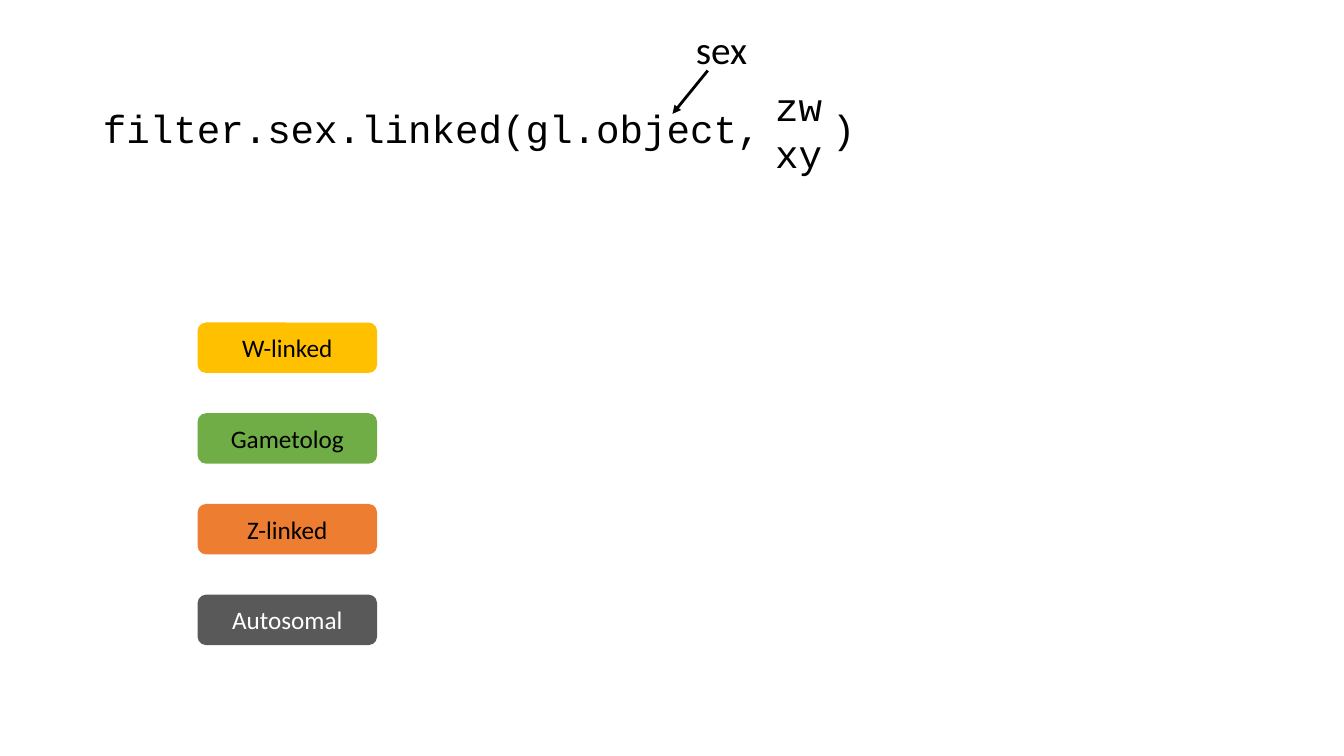
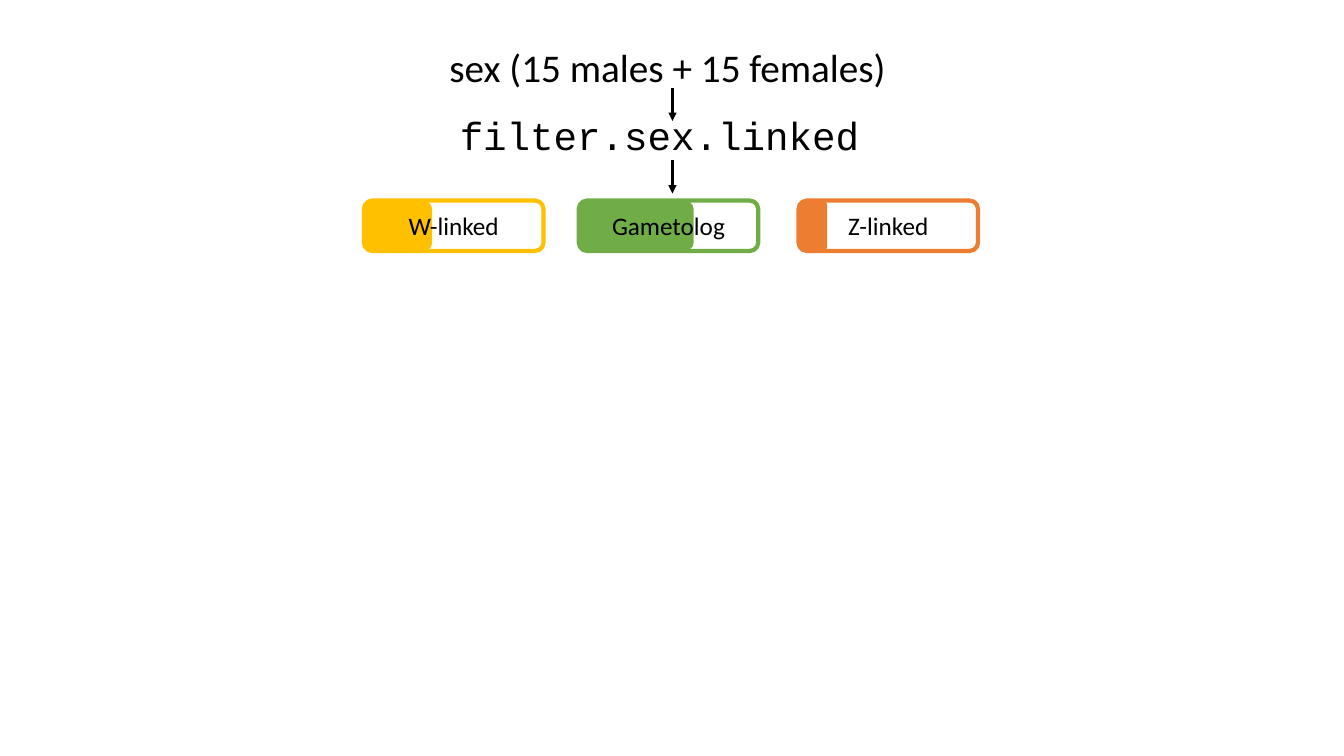
from lxml import etree
from pptx import Presentation
from pptx.dml.color import RGBColor
from pptx.enum.shapes import MSO_CONNECTOR as CONN, MSO_SHAPE as SHAPE
from pptx.enum.text import MSO_ANCHOR as ANCHOR, MSO_AUTO_SIZE as FIT, PP_ALIGN as ALIGN
from pptx.oxml.ns import qn
from pptx.util import Inches, Pt

BLACK, WHITE = "000000", "FFFFFF"
YELLOW, GREEN, ORANGE, GREY = "FFC000", "70AD47", "ED7D31", "595959"
CODE, SANS = "Courier New", "Calibri"
PILL_W, PILL_H = 1.78, 0.5
PILL_TOP, PILL_STEP = 3.2, 0.9


def rgb(color):
    return RGBColor.from_string(color)


def style(p, font, size, color, align):
    p.alignment = align
    p.font.name, p.font.size, p.font.color.rgb = font, Pt(size), rgb(color)


# Slide contents: title (text, box), labels, arrows, and pills
# (name, left, top, colour, text colour, filled share of the width)
types = [("W-linked", YELLOW, BLACK), ("Gametolog", GREEN, BLACK),
         ("Z-linked", ORANGE, BLACK), ("Autosomal", GREY, WHITE)]
slides = [
    {"title": ("filter.sex.linked(gl.object,\t)", (0.92, 1.04, 11.5, 0.5)),
     "labels": [("zw\nxy", (7.59, 0.77, 0.75, 1.04), CODE, ALIGN.LEFT),
                ("sex", (6.7, 0.2, 0.91, 0.57), SANS, ALIGN.CENTER)],
     "arrows": [(7.02, 0.7, 6.67, 1.13)],
     "pills": [(name, 1.96, PILL_TOP + i * PILL_STEP, color, ink, 1)
               for i, (name, color, ink) in enumerate(types)]},
    {"title": ("filter.sex.linked", (4.46, 1.11, 4.41, 0.5)),
     "labels": [("sex (15 males + 15 females)", (4.14, 0.38, 4.96, 0.57), SANS, ALIGN.CENTER)],
     "arrows": [(6.67, 0.87, 6.67, 1.2), (6.67, 1.59, 6.67, 1.92)],
     "pills": [(name, left, 1.99, color, ink, share)
               for (name, color, ink), left, share
               in zip(types, (3.61, 5.74, 7.92), (0.38, 0.64, 0.16))]},
]

prs = Presentation()
prs.slide_width, prs.slide_height = Inches(13.33), Inches(7.5)

for content in slides:
    s = prs.slides.add_slide(prs.slide_layouts[5])

    # Function call as the title
    text, box = content["title"]
    title = s.shapes.title
    title.left, title.top, title.width, title.height = map(Inches, box)
    tf = title.text_frame
    tf.text = text
    tf.word_wrap, tf.auto_size, tf.vertical_anchor = True, FIT.NONE, ANCHOR.TOP
    p = tf.paragraphs[0]
    p.line_spacing = 0.9
    if "\t" in text:
        tabs = etree.SubElement(p._p.get_or_add_pPr(), qn("a:tabLst"))
        etree.SubElement(tabs, qn("a:tab"), pos=str(Inches(7.23)), algn="l")
    style(p, CODE, 28, BLACK, ALIGN.LEFT)

    # Argument labels
    for text, box, font, align in content["labels"]:
        tf = s.shapes.add_textbox(*map(Inches, box)).text_frame
        tf.text, tf.word_wrap = text, True
        for p in tf.paragraphs:
            style(p, font, 28, BLACK, align)

    # Arrows
    for ends in content["arrows"]:
        arrow = s.shapes.add_connector(CONN.STRAIGHT, *map(Inches, ends))
        arrow.line.color.rgb, arrow.line.width = rgb(BLACK), Pt(2)
        etree.SubElement(arrow.line._get_or_add_ln(), qn("a:tailEnd"), type="triangle")
        etree.SubElement(arrow._element.spPr, qn("a:effectLst"))

    # Pills: filled, or an outline over a partial fill
    for name, left, top, color, ink, share in content["pills"]:
        partial = share < 1
        shapes = s.shapes.add_group_shape().shapes if partial else s.shapes
        for width in (PILL_W * share, PILL_W) if partial else (PILL_W,):
            pill = shapes.add_shape(SHAPE.ROUNDED_RECTANGLE, Inches(left), Inches(top),
                                    Inches(width), Inches(PILL_H))
            pill.shadow.inherit = False
            if partial and width == PILL_W:
                pill.fill.background()
                pill.line.color.rgb, pill.line.width = rgb(color), Pt(3)
            else:
                pill.fill.solid()
                pill.fill.fore_color.rgb = rgb(color)
                pill.line.fill.background()
        tf = pill.text_frame
        tf.text, tf.vertical_anchor = name, ANCHOR.MIDDLE
        style(tf.paragraphs[0], SANS, 18, ink, ALIGN.CENTER)

prs.save("out.pptx")
